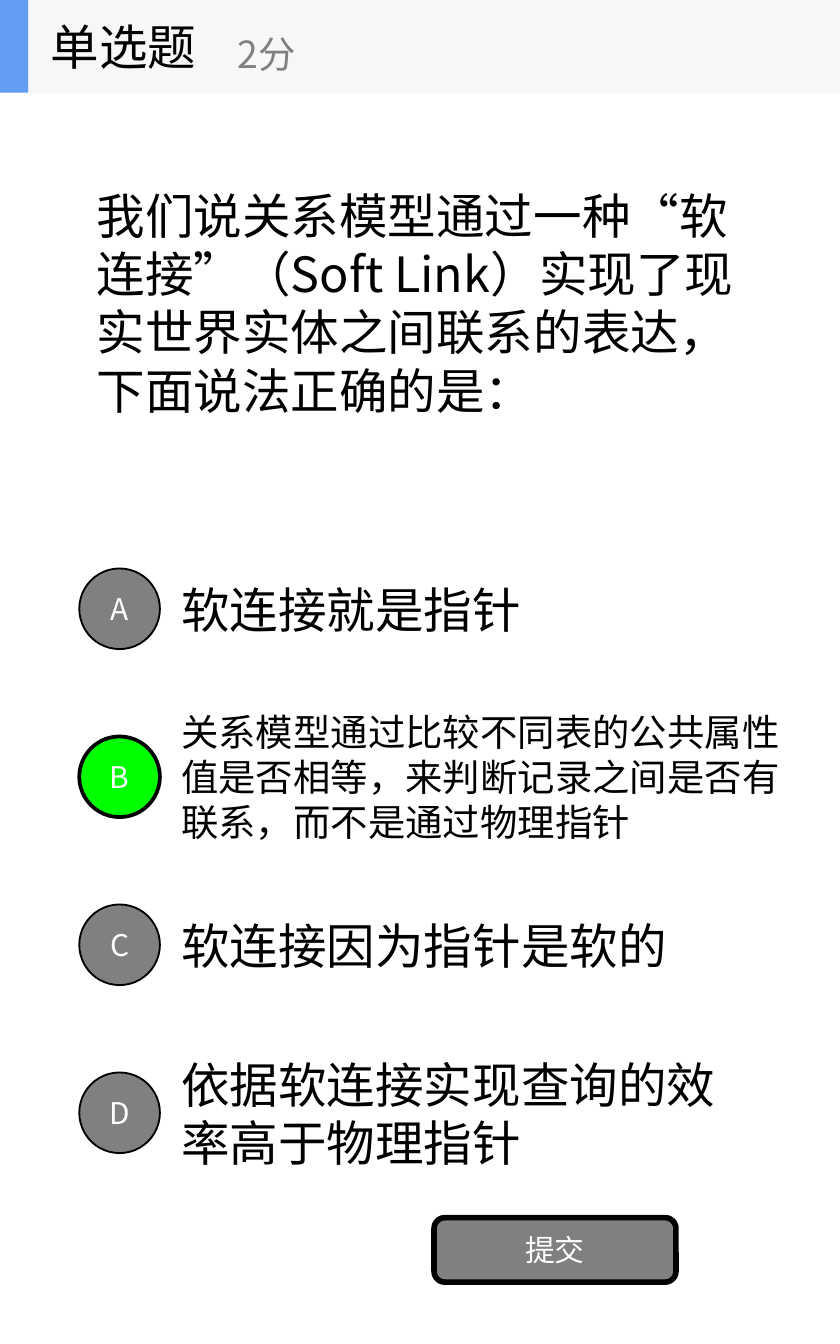
import dataclasses
import typing

import pptx
import pptx.dml.color
import pptx.enum.shapes
import pptx.enum.text
import pptx.oxml.ns
import pptx.util
from lxml import etree

Inches = pptx.util.Inches
Shape = pptx.enum.shapes.MSO_SHAPE
Align = pptx.enum.text.PP_ALIGN


@dataclasses.dataclass(frozen=True)
class Theme:
    font: str = "Noto Sans CJK SC"
    black: str = "000000"
    white: str = "FFFFFF"
    gray: str = "808080"
    correct: str = "00FF00"
    band: str = "F6F7F8"
    accent: str = "639EF4"
    large: int = 26
    medium: int = 20
    small: int = 16


THEME = Theme()


class Area(typing.NamedTuple):
    left: float
    top: float
    width: float
    height: float

    def lengths(self) -> list[pptx.util.Length]:
        return [Inches(value) for value in self]


@dataclasses.dataclass(frozen=True)
class Option:
    letter: str
    text: str
    size: int = THEME.large
    width: float = 4.38
    fill: str = THEME.gray
    outline: float = 1


OPTIONS = [
    Option("A", "软连接就是指针"),
    Option(
        "B",
        "关系模型通过比较不同表的公共属性值是否相等，来判断记录之间是否有联系，而不是通过物理指针",
        size=THEME.medium,
        width=4.86,
        fill=THEME.correct,
        outline=2,
    ),
    Option("C", "软连接因为指针是软的"),
    Option("D", "依据软连接实现查询的效率高于物理指针"),
]
QUESTION = "我们说关系模型通过一种“软连接”（Soft Link）实现了现实世界实体之间联系的表达，下面说法正确的是："
FIRST_OPTION_TOP = 4.06
OPTION_STEP = 1.25
OPTION_HEIGHT = 0.94
CIRCLE_SIZE = 0.6
HEADER_HEIGHT = 0.69


def rgb(color: str) -> pptx.dml.color.RGBColor:
    return pptx.dml.color.RGBColor.from_string(color)


def write_text(box, text: str, *, size: int, color: str = THEME.black,
               align: Align = Align.LEFT, wrap: bool = True) -> None:
    frame = box.text_frame
    frame.word_wrap = wrap
    frame.vertical_anchor = pptx.enum.text.MSO_ANCHOR.MIDDLE
    para = frame.paragraphs[0]
    para.alignment = align
    span = para.add_run()
    span.text = text
    span.font.size = pptx.util.Pt(size)
    span.font.name = THEME.font
    span.font.color.rgb = rgb(color)
    east_asian = etree.SubElement(span.font._element, pptx.oxml.ns.qn("a:ea"))
    east_asian.set("typeface", THEME.font)


def add_text(shapes, area: Area, text: str, **text_format) -> None:
    write_text(shapes.add_textbox(*area.lengths()), text, **text_format)


def add_block(shapes, kind: Shape, area: Area, fill: str, outline: float = 0, label: str = "") -> None:
    block = shapes.add_shape(kind, *area.lengths())
    block.shadow.inherit = False
    block.fill.solid()
    block.fill.fore_color.rgb = rgb(fill)
    if outline:
        block.line.color.rgb = rgb(THEME.black)
        block.line.width = pptx.util.Pt(outline)
    else:
        block.line.fill.background()
    if label:
        write_text(block, label, size=THEME.small, color=THEME.white, align=Align.CENTER)


def add_option(shapes, option: Option, top: float) -> None:
    add_text(shapes, Area(1.25, top, option.width, OPTION_HEIGHT), option.text, size=option.size)
    circle_top = top + (OPTION_HEIGHT - CIRCLE_SIZE) / 2
    circle = Area(0.59, circle_top, CIRCLE_SIZE, CIRCLE_SIZE)
    add_block(shapes, Shape.OVAL, circle, option.fill, option.outline, option.letter)


def add_header(shapes) -> None:
    header = shapes.add_group_shape().shapes
    add_block(header, Shape.RECTANGLE, Area(0, 0, 6.25, HEADER_HEIGHT), THEME.band)
    add_block(header, Shape.RECTANGLE, Area(0, 0, 0.21, HEADER_HEIGHT), THEME.accent)
    add_text(header, Area(0.28, 0, 2.08, HEADER_HEIGHT), "单选题", size=THEME.large, wrap=False)
    add_text(header, Area(1.67, 0.12, 2.5, 0.56), "2分", size=THEME.medium, color=THEME.gray, wrap=False)


def main() -> None:
    deck = pptx.Presentation()
    deck.slide_width = Inches(6.25)
    deck.slide_height = Inches(10)
    page = deck.slides.add_slide(deck.slide_layouts[6])
    page.background.fill.solid()
    page.background.fill.fore_color.rgb = rgb(THEME.white)

    add_text(page.shapes, Area(0.62, 0.69, 5, 3.12), QUESTION, size=THEME.large)
    for index, option in enumerate(OPTIONS):
        add_option(page.shapes, option, FIRST_OPTION_TOP + index * OPTION_STEP)
    add_block(page.shapes, Shape.ROUNDED_RECTANGLE, Area(3.23, 9.06, 1.8, 0.48), THEME.gray, 3, "提交")
    add_header(page.shapes)
    deck.save("out.pptx")


if __name__ == "__main__":
    main()
